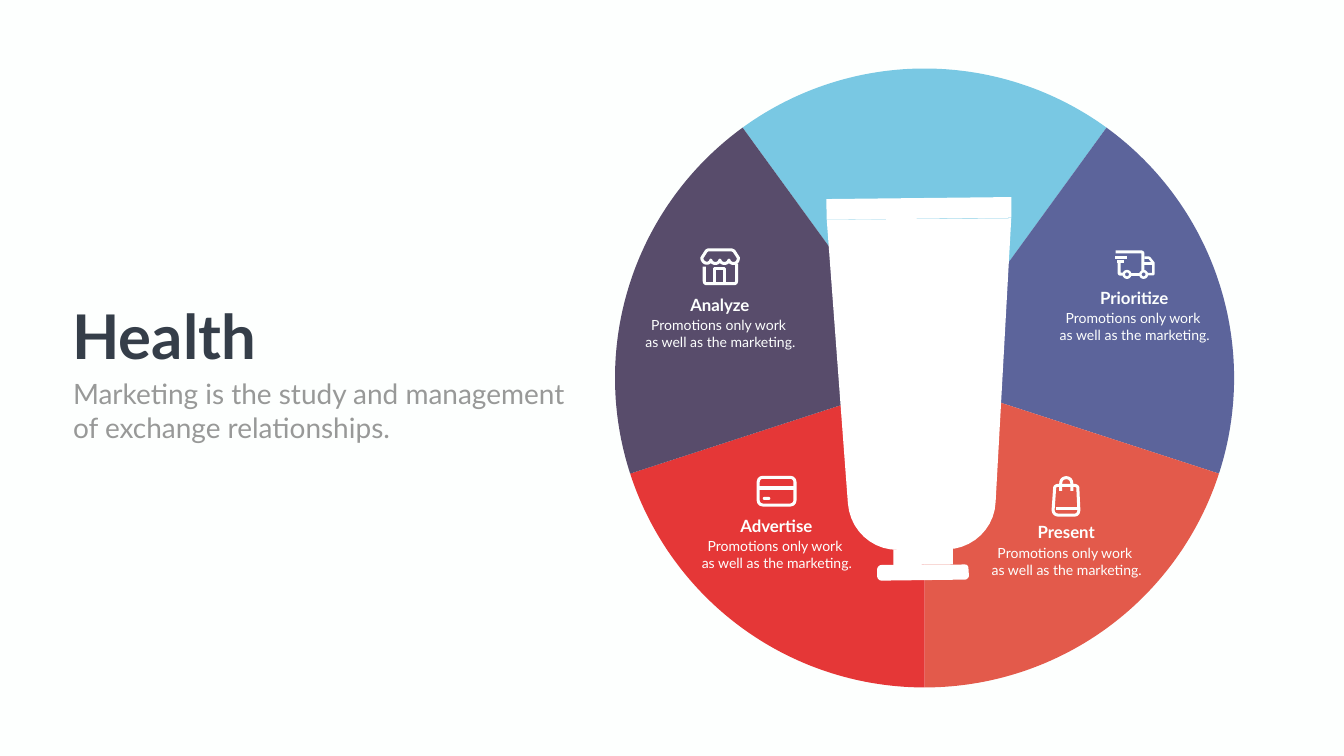
import math

import pptx
import pptx.dml.color
import pptx.enum.shapes
import pptx.enum.text
import pptx.oxml
import pptx.oxml.ns
import pptx.util

EMU_PER_PX = 9144
SHAPE = pptx.enum.shapes.MSO_SHAPE
ALIGN = pptx.enum.text.PP_ALIGN
PAPER, WHITE, INK, GREY = "FDFFFE", "FFFFFF", "353E49", "989998"


def px(value):
    return pptx.util.Emu(round(value * EMU_PER_PX))


def rgb(value):
    return pptx.dml.color.RGBColor.from_string(value)


def flatten(nodes, steps=10):
    points = []
    for node in nodes:
        if len(node) == 2:
            points.append(node)
            continue
        x0, y0 = points[-1]
        x1, y1, x2, y2, x3, y3 = node
        for i in range(1, steps + 1):
            t = i / steps
            a, b, c, d = (1 - t) ** 3, 3 * t * (1 - t) ** 2, 3 * t * t * (1 - t), t ** 3
            points.append((a * x0 + b * x1 + c * x2 + d * x3,
                           a * y0 + b * y1 + c * y2 + d * y3))
    return points


class Canvas:
    font = "Lato"

    def __init__(self, slide):
        self.s = slide
        self.s.background.fill.solid()
        self.s.background.fill.fore_color.rgb = rgb(PAPER)

    def paint(self, sp, fill=None, line=None, width=0):
        sp.shadow.inherit = False
        if fill:
            sp.fill.solid()
            sp.fill.fore_color.rgb = rgb(fill)
        else:
            sp.fill.background()
        if line:
            sp.line.color.rgb = rgb(line)
            sp.line.width = px(width)
        else:
            sp.line.fill.background()

    def shape(self, kind, x, y, w, h, radius=None, **style):
        sp = self.s.shapes.add_shape(kind, px(x), px(y), px(w), px(h))
        if radius is not None:
            sp.adjustments[0] = radius / min(w, h)
        self.paint(sp, **style)

    def outline(self, nodes, close=True, **style):
        points = [(px(x), px(y)) for x, y in flatten(nodes)]
        builder = self.s.shapes.build_freeform(*points[0], scale=1.0)
        builder.add_line_segments(points[1:], close=close)
        self.paint(builder.convert_to_shape(), **style)

    def stroke(self, nodes, width=6, close=False):
        self.outline(nodes, close=close, line=PAPER, width=width)

    def line(self, x1, y1, x2, y2, width):
        c = self.s.shapes.add_connector(pptx.enum.shapes.MSO_CONNECTOR.STRAIGHT,
                                        px(x1), px(y1), px(x2), px(y2))
        c.line.color.rgb = rgb(PAPER)
        c.line.width = px(width)
        c._element.spPr.append(pptx.oxml.parse_xml(
            "<a:effectLst %s/>" % pptx.oxml.ns.nsdecls("a")))

    def text(self, text, x, y, w, h, size=20, color=PAPER, bold=False, align=ALIGN.LEFT):
        tf = self.s.shapes.add_textbox(px(x), px(y), px(w), px(h)).text_frame
        tf.word_wrap = True
        for i, row in enumerate(text.split("\n")):
            p = tf.paragraphs[0] if i == 0 else tf.add_paragraph()
            p.alignment = align
            r = p.add_run()
            r.text = row
            r.font.name = self.font
            r.font.size = pptx.util.Pt(size)
            r.font.bold = bold
            r.font.color.rgb = rgb(color)

    def label(self, title, x, y):
        self.text(title, x, y, 190, 50, size=24, bold=True, align=ALIGN.CENTER)
        self.text("Promotions only work \nas well as the marketing.",
                  x - 73, y + 44, 338, 77, align=ALIGN.CENTER)


def draw_wheel(c):
    cx, cy, radius, sweep = 1834, 750, 614, 72
    for i, color in enumerate(["79C8E3", "5C649B", "E35A4B", "E53737", "584C6B"]):
        start = -126 + i * sweep
        arc = [(cx + radius * math.cos(math.radians(a)), cy + radius * math.sin(math.radians(a)))
               for a in range(start, start + sweep + 1)]
        c.outline([(cx, cy)] + arc, fill=color)


def draw_shop(c):
    c.stroke([(1397, 529), (1397, 558), (1397, 561, 1399, 563, 1402, 563), (1456, 563),
              (1459, 563, 1461, 561, 1461, 558), (1461, 523)])
    c.stroke([(1417, 563), (1417, 533), (1437, 533), (1437, 563)], width=5)
    scallops = [(x + 2, 525, x + 16, 525, x + 18, 516) for x in range(1392, 1464, 18)]
    c.stroke([(1392, 512)] + scallops + [(1465, 512), (1456, 498), (1452, 496),
                                         (1404, 496), (1401, 498)], close=True)


def draw_truck(c):
    c.stroke([(2213, 500), (2264, 500), (2266, 500, 2267, 501, 2267, 503), (2267, 537)])
    c.stroke([(2220, 519), (2220, 541), (2220, 543, 2221, 544, 2223, 544), (2229, 544)])
    c.stroke([(2270, 511), (2278, 511), (2280, 512), (2288, 522), (2288, 544), (2275, 544)],
             width=5)
    c.line(2240, 544, 2262, 544, width=6)
    c.line(2268, 523, 2288, 523, width=5)
    c.line(2212, 510, 2236, 510, width=6)
    c.line(2216, 519, 2229, 519, width=5)
    for x in (2235, 2268):
        c.shape(SHAPE.OVAL, x - 6, 538, 13, 13, line=PAPER, width=5)


def draw_card(c):
    c.shape(SHAPE.ROUNDED_RECTANGLE, 1504, 947, 73, 55, radius=9, line=PAPER, width=6)
    c.line(1506, 969, 1578, 969, width=8)
    c.shape(SHAPE.ROUNDED_RECTANGLE, 1513, 986, 15, 6, radius=3, fill=PAPER)


def draw_bag(c):
    c.stroke([(2099, 963), (2131, 963), (2134, 963, 2138, 965, 2138, 968), (2140, 1011),
              (2140, 1018, 2137, 1022, 2131, 1022), (2100, 1022),
              (2093, 1022, 2089, 1018, 2089, 1011), (2092, 968),
              (2092, 965, 2096, 963, 2099, 963)], close=True)
    c.stroke([(2104, 974), (2104, 959), (2104, 944, 2126, 944, 2126, 959), (2126, 974)])
    c.line(2095, 1009, 2140, 1009, width=5)


def draw_tube(c):
    c.outline([(1782, 1091), (1878, 1090), (1930, 1089, 1973, 1048, 1975, 996), (2006, 433),
               (1640, 436), (1682, 999), (1686, 1051, 1729, 1092, 1782, 1091)], fill=WHITE)
    c.outline([(1772, 1121), (1890, 1120), (1890, 1089), (1772, 1090)], fill=WHITE)
    c.outline([(1749, 1152), (1914, 1150), (1918, 1150, 1922, 1146, 1922, 1142), (1921, 1127),
               (1921, 1123, 1918, 1120, 1914, 1120), (1749, 1121),
               (1744, 1121, 1740, 1125, 1740, 1130), (1740, 1143),
               (1740, 1148, 1744, 1152, 1749, 1152)], fill=WHITE)
    c.outline([(1639, 395), (2006, 391), (2006, 432), (1640, 436)], fill=WHITE)


def main():
    prs = pptx.Presentation()
    prs.slide_width, prs.slide_height = px(2666), px(1500)
    c = Canvas(prs.slides.add_slide(prs.slide_layouts[6]))
    draw_wheel(c)
    for draw_icon in (draw_shop, draw_truck, draw_card, draw_bag):
        draw_icon(c)
    c.text("Health", 134, 587, 461, 158, size=88, color=INK, bold=True)
    c.text("Marketing is the study and management\nof exchange relationships.",
           135, 743, 1142, 212, size=40, color=GREY)
    for title, x, y in [("Analyze", 1333, 579), ("Prioritize", 2155, 566),
                        ("Present", 2020, 1031), ("Advertise", 1445, 1018)]:
        c.label(title, x, y)
    draw_tube(c)
    prs.save("out.pptx")


if __name__ == "__main__":
    main()
